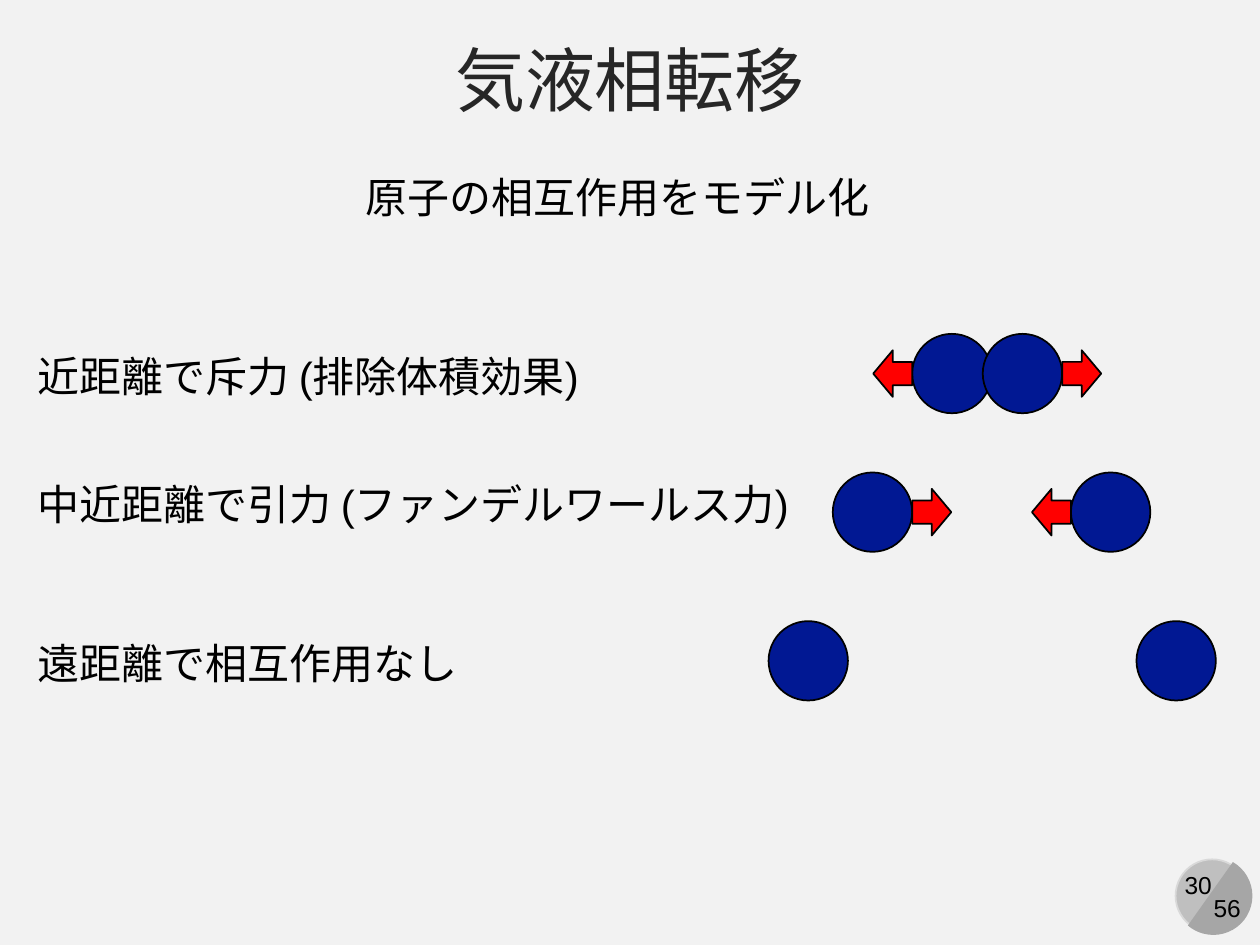
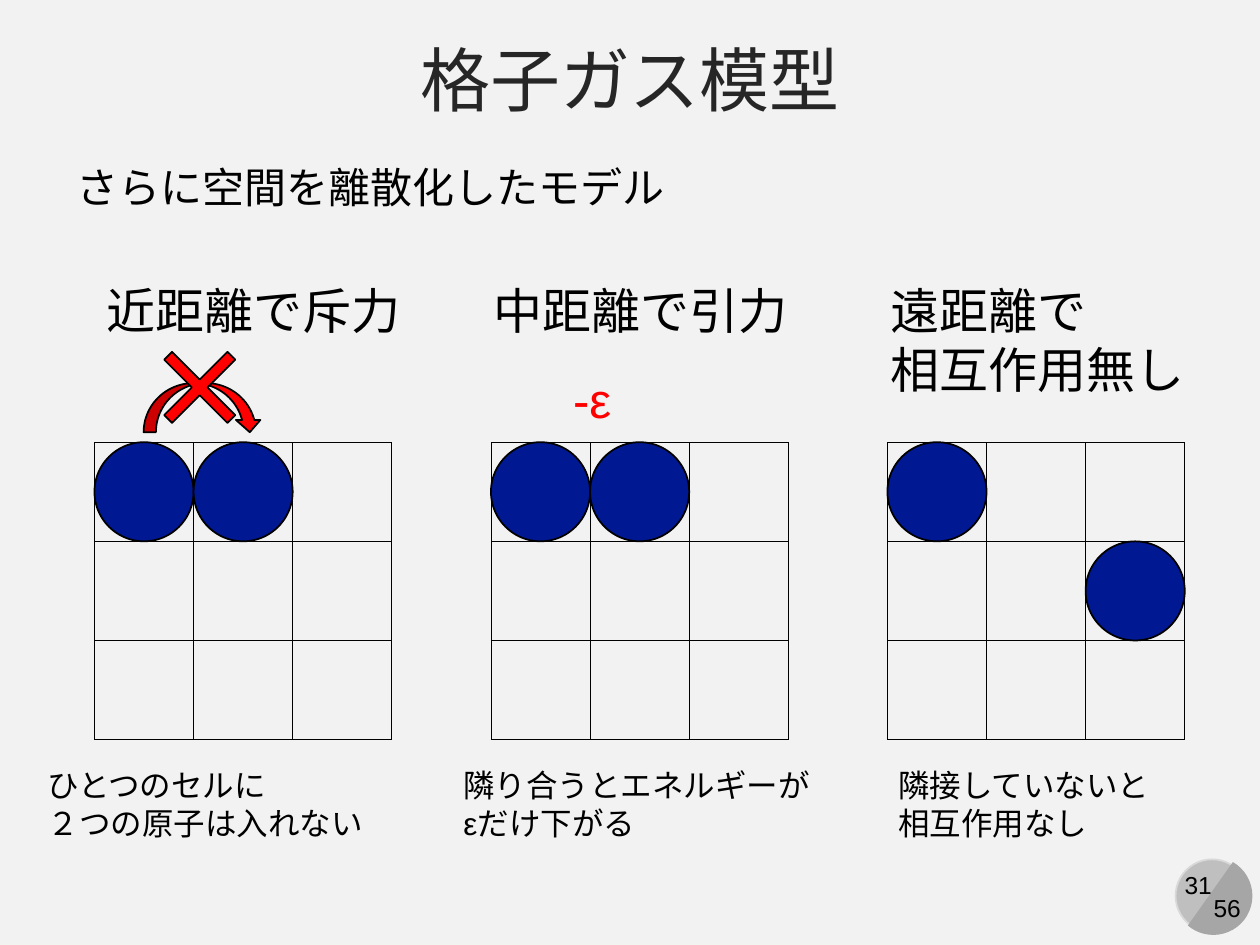
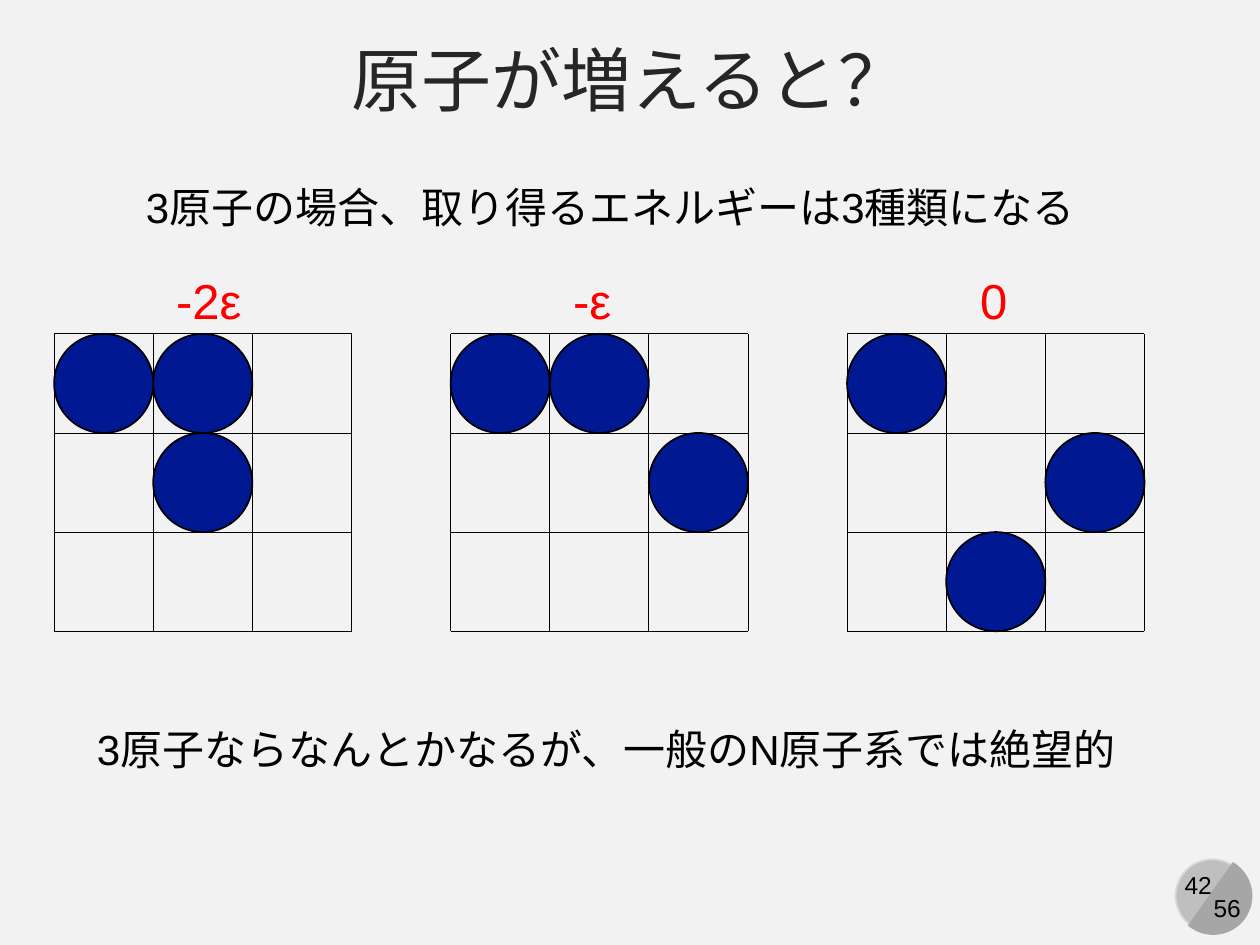
from lxml import etree
from pptx import Presentation
from pptx.dml.color import RGBColor
from pptx.enum.shapes import MSO_CONNECTOR as Connector, MSO_SHAPE as Shape
from pptx.enum.text import MSO_ANCHOR as Anchor, MSO_AUTO_SIZE as AutoSize, PP_ALIGN as Align
from pptx.oxml.ns import qn
from pptx.util import Inches, Pt

COLORS = {
    "paper": "F2F2F2",
    "title": "262626",
    "ink": "000000",
    "atom": "011893",
    "red": "FF0000",
    "badge": "BFBFBF",
    "badge_edge": "D9D9D9",
    "badge_half": "A6A6A6",
}
FONT = "Arial"
TOTAL = "56"
ATOM = 0.63
CELL = 2.36 / 3
SIDE = 3 * CELL
PITCH = 4 * CELL


def add_text(page, left, top, width, height, lines, size, color="ink", align=Align.LEFT, wrap=True):
    box = page.shapes.add_textbox(Inches(left), Inches(top), Inches(width), Inches(height))
    frame = box.text_frame
    frame.word_wrap = wrap
    frame.auto_size = AutoSize.SHAPE_TO_FIT_TEXT
    frame.text = lines
    for para in frame.paragraphs:
        para.alignment = align
        para.font.name = FONT
        para.font.size = Pt(size)
        para.font.color.rgb = RGBColor.from_string(COLORS[color])


def add_solid(shapes, kind, left, top, width, height, fill, edge="ink"):
    solid = shapes.add_shape(kind, Inches(left), Inches(top), Inches(width), Inches(height))
    solid.shadow.inherit = False
    solid.fill.solid()
    solid.fill.fore_color.rgb = RGBColor.from_string(COLORS[fill])
    if edge:
        solid.line.color.rgb = RGBColor.from_string(COLORS[edge])
        solid.line.width = Pt(1)
    else:
        solid.line.fill.background()
    return solid


deck = Presentation()
deck.slide_width = Inches(10)
deck.slide_height = Inches(7.5)
background = deck.slide_master.background.fill
background.solid()
background.fore_color.rgb = RGBColor.from_string(COLORS["paper"])

pages = []
for title_text, number in [("気液相転移", "30"), ("格子ガス模型", "31"), ("原子が増えると？", "42")]:
    page = deck.slides.add_slide(deck.slide_layouts[5])
    pages.append(page)
    title = page.shapes.title
    title.left, title.top, title.width, title.height = Inches(0), Inches(0.21), Inches(10), Inches(0.82)
    title.text_frame.text = title_text
    title.text_frame.vertical_anchor = Anchor.MIDDLE
    para = title.text_frame.paragraphs[0]
    para.alignment = Align.CENTER
    para.font.name = FONT
    para.font.size = Pt(40)
    para.font.color.rgb = RGBColor.from_string(COLORS["title"])

    add_solid(page.shapes, Shape.OVAL, 9.33, 6.82, 0.58, 0.58, "badge", "badge_edge")
    half = add_solid(page.shapes, Shape.CHORD, 9.32, 6.8, 0.62, 0.62, "badge_half", None)
    half.adjustments[0] = 27
    half.adjustments[1] = 141.424
    half.rotation = 255
    add_text(page, 9.29, 6.86, 0.44, 0.34, number, 14, align=Align.CENTER, wrap=False)
    add_text(page, 9.53, 7.04, 0.42, 0.34, TOTAL, 14, align=Align.CENTER, wrap=False)

interaction_page, lattice_page, energy_page = pages

for left, top, width, words in [
    (2.8, 1.31, 4.24, "原子の相互作用をモデル化"),
    (0.2, 2.73, 4.56, "近距離で斥力 (排除体積効果)"),
    (0.2, 3.75, 6.24, "中近距離で引力 (ファンデルワールス力)"),
    (0.2, 5.01, 3.57, "遠距離で相互作用なし"),
]:
    add_text(interaction_page, left, top, width, 0.5, words, 24)

for top, atoms, arrows in [
    (2.65, (7.24, 7.8), ((8.43, 0), (6.93, 180))),
    (3.75, (6.61, 8.5), ((7.24, 0), (8.19, 180))),
    (4.93, (6.1, 9.02), ()),
]:
    for left in atoms:
        add_solid(interaction_page.shapes, Shape.OVAL, left, top, ATOM, ATOM, "atom")
    for left, turn in arrows:
        arrow = add_solid(interaction_page.shapes, Shape.RIGHT_ARROW, left, top + 0.13, 0.31, 0.37, "red")
        arrow.rotation = turn

for page, first_left, top, lattices in [
    (lattice_page, 0.75, 3.51, [[(0, 0), (1, 0)], [(0, 0), (1, 0)], [(0, 0), (2, 1)]]),
    (energy_page, 0.43, 2.65, [
        [(0, 0), (1, 0), (1, 1)],
        [(0, 0), (1, 0), (2, 1)],
        [(0, 0), (1, 2), (2, 1)],
    ]),
]:
    for index, atoms in enumerate(lattices):
        left = first_left + index * PITCH
        lattice = page.shapes.add_group_shape().shapes
        offsets = [step * CELL for step in range(4)]
        verticals = [(left + offset, top, left + offset, top + SIDE) for offset in offsets]
        horizontals = [(left, top + offset, left + SIDE, top + offset) for offset in offsets]
        for ends in verticals + horizontals:
            rule = lattice.add_connector(Connector.STRAIGHT, *[Inches(end) for end in ends])
            rule.line.color.rgb = RGBColor.from_string(COLORS["ink"])
            rule.line.width = Pt(0.5)
            etree.SubElement(rule.line._get_or_add_ln().getparent(), qn("a:effectLst"))
        for column, row in atoms:
            add_solid(lattice, Shape.OVAL, left + column * CELL, top + row * CELL, CELL, CELL, "atom")

add_text(lattice_page, 0.51, 1.23, 4.91, 0.5, "さらに空間を離散化したモデル", 24)
for left, height, heading in [
    (0.75, 0.57, "近距離で斥力"),
    (3.82, 0.57, "中距離で引力"),
    (6.97, 1.04, "遠距離で\n相互作用無し"),
]:
    add_text(lattice_page, left, 2.18, 2.56, height, heading, 28)
for left, width, caption in [
    (0.28, 2.73, "ひとつのセルに\n２つの原子は入れない"),
    (3.58, 2.98, "隣り合うとエネルギーが\nεだけ下がる"),
    (7.03, 2.22, "隣接していないと\n相互作用なし"),
]:
    add_text(lattice_page, left, 6.03, width, 0.71, caption, 18)
add_solid(lattice_page.shapes, Shape.CURVED_DOWN_ARROW, 1.14, 3.04, 0.94, 0.39, "red")
cross = add_solid(lattice_page.shapes, Shape.CROSS, 1.23, 2.72, 0.71, 0.71, "red")
cross.adjustments[0] = 0.438
cross.rotation = 45

for page, left, top, width, energy in [
    (lattice_page, 4.45, 2.88, 0.51, "-ε"),
    (energy_page, 1.3, 2.1, 0.73, "-2ε"),
    (energy_page, 4.45, 2.1, 0.51, "-ε"),
    (energy_page, 7.68, 2.1, 0.42, "0"),
]:
    add_text(page, left, top, width, 0.57, energy, 28, "red", wrap=False)

add_text(energy_page, 1.06, 1.39, 7.65, 0.5, "3原子の場合、取り得るエネルギーは3種類になる", 24)
add_text(energy_page, 0.67, 5.69, 8.37, 0.5, "3原子ならなんとかなるが、一般のN原子系では絶望的", 24)

deck.save("out.pptx")
